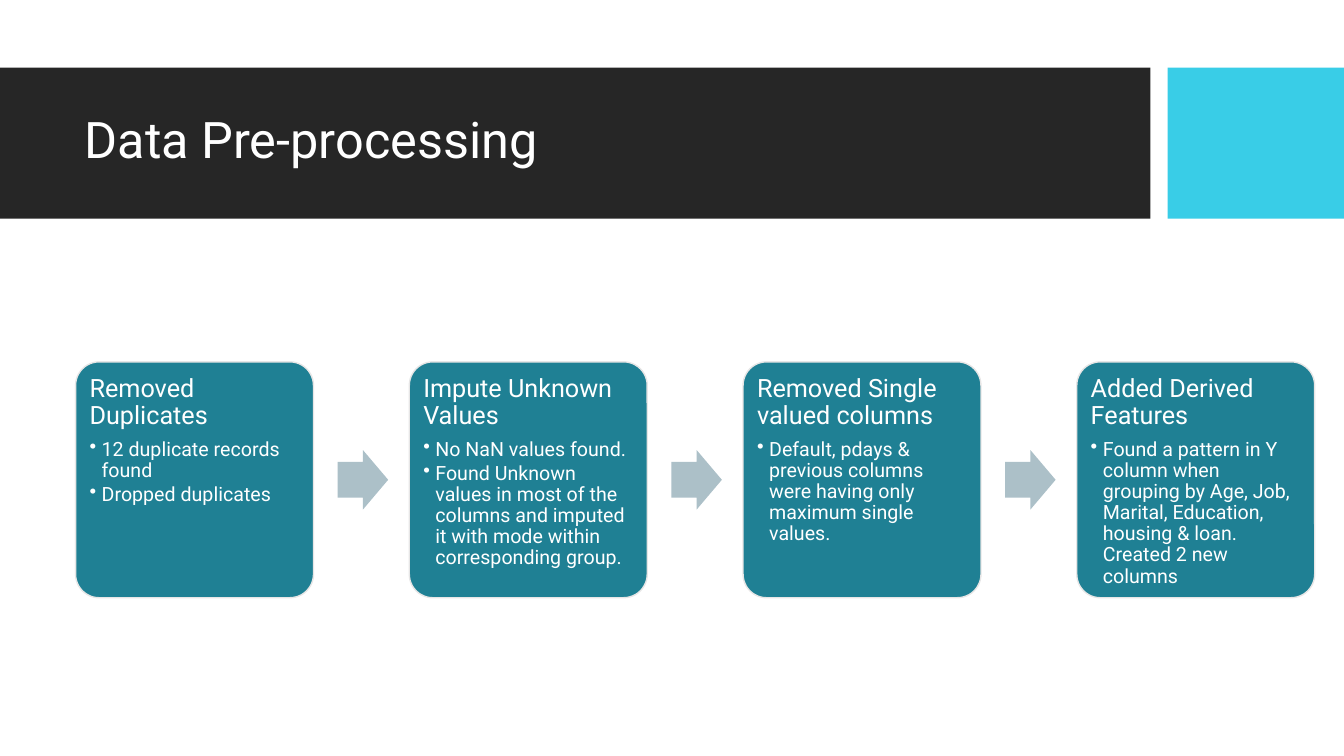
"""Build the data pre-processing slide: a title band and four linked steps."""
from lxml.etree import SubElement
from pptx import Presentation
from pptx.dml.color import RGBColor
from pptx.enum.shapes import MSO_SHAPE as Kind
from pptx.enum.text import MSO_ANCHOR as Anchor, MSO_AUTO_SIZE as Fit, PP_ALIGN as Align
from pptx.oxml.ns import qn
from pptx.util import Inches, Pt

FONT = "Roboto"
WHITE, DARK, CYAN = "FFFFFF", "262626", "39CDE7"
TEAL, EDGE, GREY = "1F8094", "E7E6E6", "ACC0C8"
TITLE = "Data Pre-processing"
STEPS = [
    ("Removed Duplicates", ["12 duplicate records found", "Dropped duplicates"]),
    ("Impute Unknown Values", [
        "No NaN values found.",
        "Found Unknown values in most of the columns and imputed it "
        "with mode within corresponding group."]),
    ("Removed Single valued columns", [
        "Default, pdays & previous columns were having only maximum single values."]),
    ("Added Derived Features", [
        "Found a pattern in Y column when grouping by Age, Job, Marital, "
        "Education, housing & loan. Created 2 new columns"]),
]
BARS = [(0, 11.41, DARK), (11.58, 1.75, CYAN)]
BAR_TOP, BAR_HIGH = 0.67, 1.5
LEFT, TOP, WIDE, HIGH, PITCH = 0.75, 3.59, 2.36, 2.34, 3.31
TIP_GAP, TIP_WIDE, TIP_HIGH = 0.24, 0.5, 0.59
PAD, HANG = 0.07, 0.12


def color(code):
    return RGBColor.from_string(code)


def add_box(slide, kind, box, fill, edge=None):
    shape = slide.shapes.add_shape(kind, *map(Inches, box))
    shape.shadow.inherit = False
    shape.fill.solid()
    shape.fill.fore_color.rgb = color(fill)
    if edge:
        shape.line.color.rgb = color(edge)
        shape.line.width = Pt(1)
    else:
        shape.line.fill.background()
    return shape


def style(para, size, after=0):
    para.alignment = Align.LEFT
    para.line_spacing = 0.9
    para.space_before = Pt(0)
    para.space_after = Pt(after)
    for run in para.runs:
        run.font.name = FONT
        run.font.size = Pt(size)
        run.font.color.rgb = color(WHITE)


def add_dot(para):
    para.level = 1
    props = para._p.get_or_add_pPr()
    props.set("marL", str(Inches(HANG)))
    props.set("indent", str(-Inches(HANG)))
    SubElement(props, qn("a:buChar"), char="•")


def add_card(slide, left, head, notes):
    card = add_box(slide, Kind.ROUNDED_RECTANGLE, (left, TOP, WIDE, HIGH), TEAL, EDGE)
    card.adjustments[0] = 0.1
    frame = card.text_frame
    frame.word_wrap = True
    frame.vertical_anchor = Anchor.TOP
    frame.margin_left = frame.margin_right = Inches(PAD)
    frame.margin_top = frame.margin_bottom = Inches(PAD)
    frame.text = head
    style(frame.paragraphs[0], 18, 6.3)
    for note in notes:
        para = frame.add_paragraph()
        para.text = note
        style(para, 14, 2.1)
        add_dot(para)


def add_title(slide):
    for left, wide, fill in BARS:
        bar = add_box(slide, Kind.RECTANGLE, (left, BAR_TOP, wide, BAR_HIGH), fill)
    title = slide.shapes.title
    bar.element.addnext(title.element)
    title.left, title.top = Inches(0.74), Inches(0.82)
    title.width, title.height = Inches(10.51), Inches(1.18)
    frame = title.text_frame
    frame.text = TITLE
    frame.word_wrap = True
    frame.auto_size = Fit.NONE
    frame.vertical_anchor = Anchor.MIDDLE
    style(frame.paragraphs[0], 36)


def main():
    deck = Presentation()
    deck.slide_width, deck.slide_height = Inches(13.33), Inches(7.5)
    slide = deck.slides.add_slide(deck.slide_layouts[5])
    add_title(slide)
    for i, (head, notes) in enumerate(STEPS):
        left = LEFT + i * PITCH
        if i:
            tip = (left - PITCH + WIDE + TIP_GAP, TOP + (HIGH - TIP_HIGH) / 2,
                   TIP_WIDE, TIP_HIGH)
            arrow = add_box(slide, Kind.RIGHT_ARROW, tip, GREY)
            arrow.adjustments[0] = 0.6
        add_card(slide, left, head, notes)
    deck.save("out.pptx")


if __name__ == "__main__":
    main()
